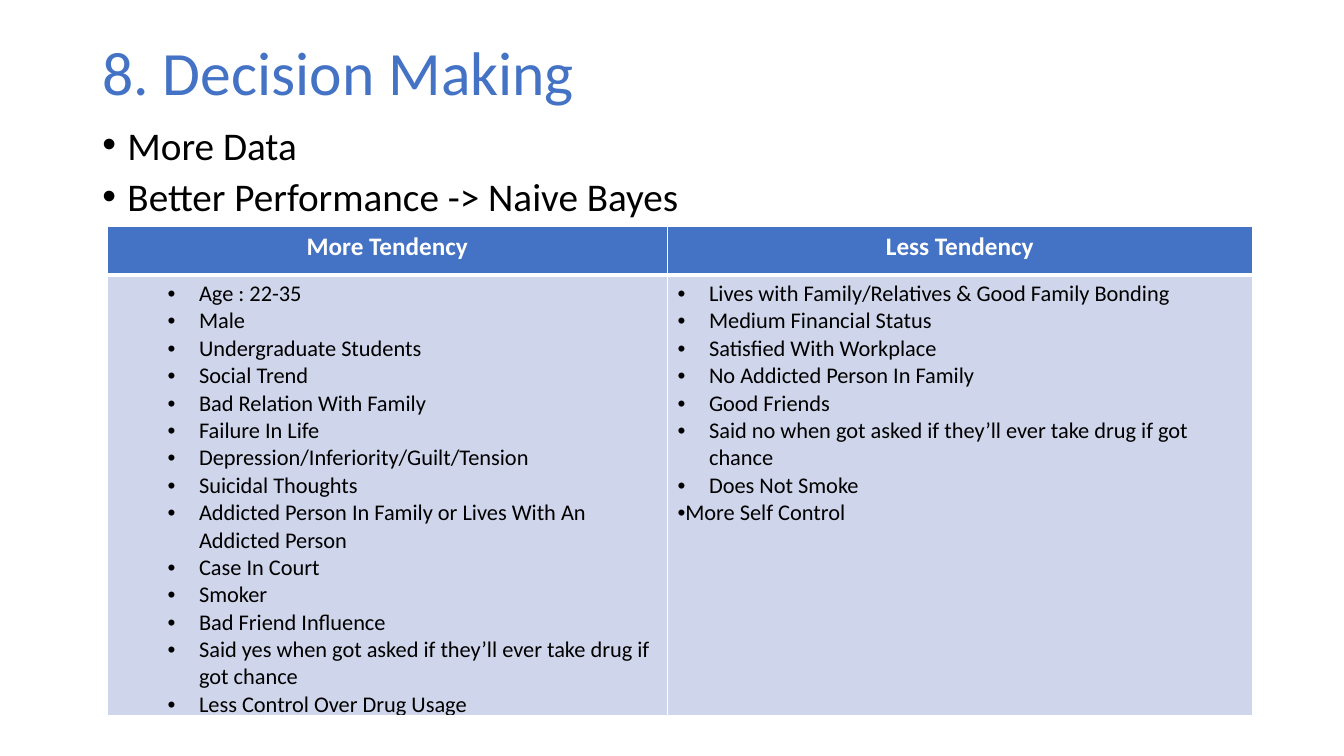
from dataclasses import dataclass

from lxml.etree import SubElement
from pptx import Presentation
from pptx.dml.color import RGBColor
from pptx.enum.text import MSO_ANCHOR, PP_ALIGN
from pptx.oxml.ns import qn
from pptx.util import Pt


@dataclass(frozen=True)
class Theme:
    font: str = "Calibri"
    accent: RGBColor = RGBColor.from_string("4472C4")
    body_fill: RGBColor = RGBColor.from_string("CFD5EA")
    ink: RGBColor = RGBColor.from_string("000000")
    white: RGBColor = RGBColor.from_string("FFFFFF")
    title_size: int = 44
    point_size: int = 28
    header_size: int = 18
    factor_size: int = 16


theme = Theme()


def write_line(frame, position, text, size, color, bold=False, bullet=None):
    line = frame.paragraphs[0] if position == 0 else frame.add_paragraph()
    run = line.add_run()
    run.text = text
    run.font.name = theme.font
    run.font.size = Pt(size)
    run.font.bold = bold
    run.font.color.rgb = color
    if bullet:
        left, first = bullet
        properties = line._p.get_or_add_pPr()
        properties.set("marL", str(Pt(left)))
        properties.set("indent", str(Pt(first)))
        SubElement(properties, qn("a:buFont")).set("typeface", "Arial")
        SubElement(properties, qn("a:buChar")).set("char", "•")
    return line


def style_cell(cell, fill, top, bottom):
    properties = cell._tc.get_or_add_tcPr()
    for side, width in (("L", 1), ("R", 1), ("T", top), ("B", bottom)):
        edge = SubElement(properties, qn(f"a:ln{side}"), w=str(Pt(width)))
        paint = SubElement(edge, qn("a:solidFill"))
        SubElement(paint, qn("a:srgbClr"), val=str(theme.white))
    cell.fill.solid()
    cell.fill.fore_color.rgb = fill


presentation = Presentation()
presentation.slide_width = Pt(960)
presentation.slide_height = Pt(540)
slide = presentation.slides.add_slide(presentation.slide_layouts[6])

title = slide.shapes.add_textbox(Pt(66), Pt(1.5), Pt(828), Pt(104.4)).text_frame
title.word_wrap = True
title.vertical_anchor = MSO_ANCHOR.MIDDLE
heading = write_line(title, 0, "8. Decision Making", theme.title_size, theme.accent)
heading.line_spacing = 0.9

points = slide.shapes.add_textbox(Pt(66), Pt(89.3), Pt(828), Pt(439.2)).text_frame
points.word_wrap = True
for position, text in enumerate(["More Data", "Better Performance -> Naive Bayes"]):
    point = write_line(points, position, text, theme.point_size, theme.ink, bullet=(18, -18))
    point.line_spacing = 0.8
    point.space_before = Pt(10)

more_factors = [
    "Age : 22-35",
    "Male",
    "Undergraduate Students",
    "Social Trend",
    "Bad Relation With Family",
    "Failure In Life",
    "Depression/Inferiority/Guilt/Tension",
    "Suicidal Thoughts",
    "Addicted Person In Family or Lives With An Addicted Person",
    "Case In Court",
    "Smoker",
    "Bad Friend Influence",
    "Said yes when got asked if they’ll ever take drug if got chance",
    "Less Control Over Drug Usage",
]
less_factors = [
    "Lives with Family/Relatives & Good Family Bonding",
    "Medium Financial Status",
    "Satisfied With Workplace",
    "No Addicted Person In Family",
    "Good Friends",
    "Said no when got asked if they’ll ever take drug if got chance",
    "Does Not Smoke",
    "More Self Control",
]
tendencies = [
    ("More Tendency", 400.3, more_factors, 58.5),
    ("Less Tendency", 417.6, less_factors, 22.5),
]

table = slide.shapes.add_table(2, 2, Pt(76.5), Pt(162), Pt(817.9), Pt(269.3)).table
table.horz_banding = False
table.rows[0].height = Pt(34.6)
table.rows[1].height = Pt(234.7)

for column, (name, width, factors, indent) in enumerate(tendencies):
    table.columns[column].width = Pt(width)
    header = table.cell(0, column)
    style_cell(header, theme.accent, top=1, bottom=3)
    label = write_line(header.text_frame, 0, name, theme.header_size, theme.white, bold=True)
    label.alignment = PP_ALIGN.CENTER

    body = table.cell(1, column)
    style_cell(body, theme.body_fill, top=3, bottom=1)
    for position, factor in enumerate(factors):
        left = 0 if factor == "More Self Control" else indent
        line = write_line(body.text_frame, position, factor, theme.factor_size, theme.ink,
                          bullet=(left, -22.5))
        line.level = 1

presentation.save("out.pptx")
